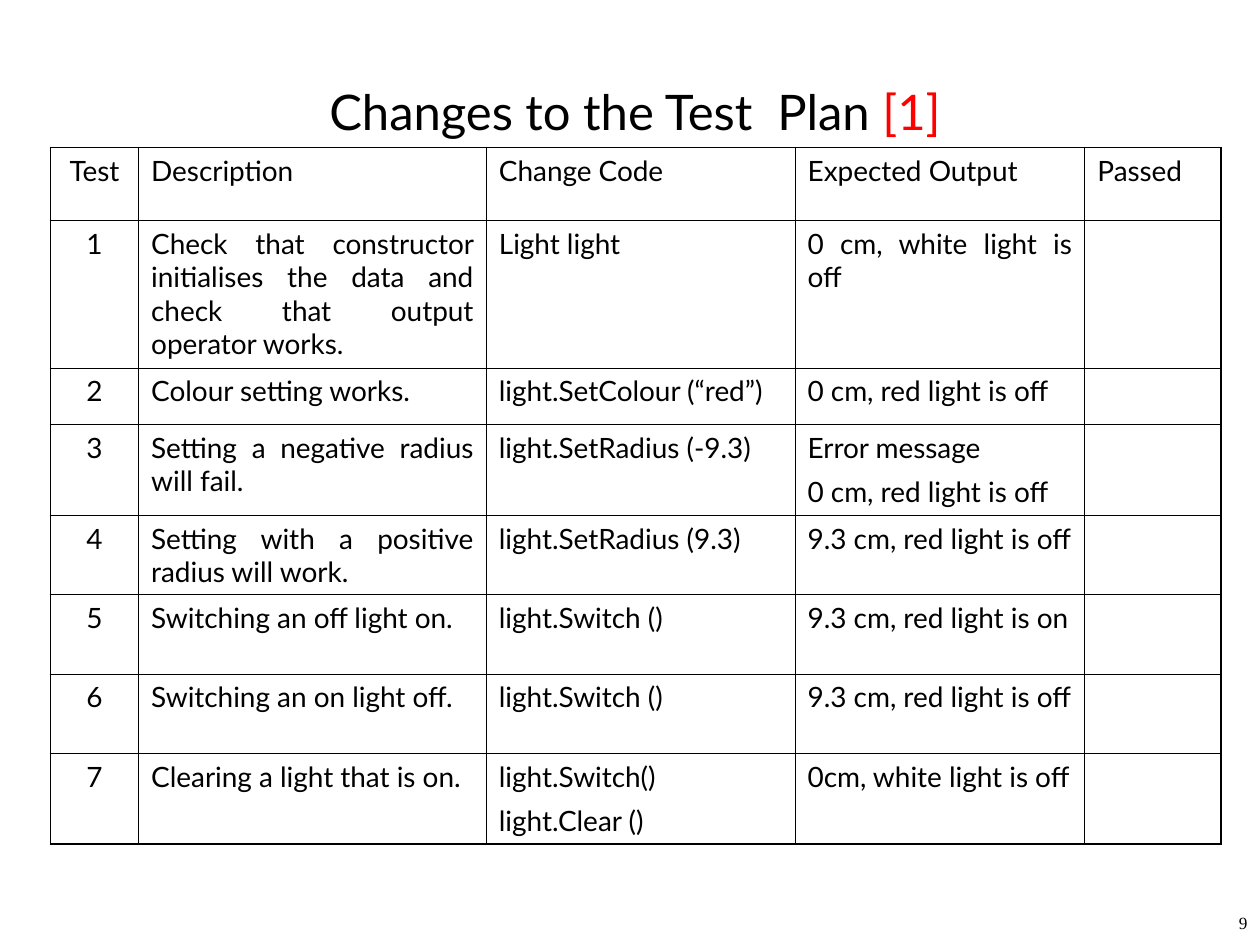
from pptx import Presentation
from pptx.dml.color import RGBColor
from pptx.enum.text import MSO_ANCHOR as Anchor, PP_ALIGN as Align
from pptx.oxml import parse_xml
from pptx.oxml.ns import nsdecls
from pptx.util import Inches, Pt

SLIDE_WIDTH, SLIDE_HEIGHT = Inches(10), Inches(7.5)
BLACK, RED = "000000", "FF0000"
INNER_LINE, OUTER_LINE = 0.45, 1.08
COLUMN_WIDTHS = [0.7, 2.76, 2.45, 2.3, 1.08]
ROW_HEIGHTS = [0.58, 1.17, 0.45, 0.72, 0.63, 0.63, 0.63, 0.72]

CELL_FONT = {"name": "Lato", "size": Pt(16)}
TITLE_FONT = {"name": "Lato", "size": Pt(28)}
NUMBER_FONT = {"name": "Times New Roman", "size": Pt(9.8)}

TEST_PLAN = [
    ["Test", "Description", "Change Code", "Expected Output", "Passed"],
    ["1", "Check that constructor initialises the data and check that output operator works.",
     "Light light", "0 cm, white light is off", ""],
    ["2", "Colour setting works.", "light.SetColour (“red”)", "0 cm, red light is off", ""],
    ["3", "Setting a negative radius will fail.", "light.SetRadius (-9.3)",
     "Error message\n0 cm, red light is off", ""],
    ["4", "Setting with a positive radius will work.", "light.SetRadius (9.3)",
     "9.3 cm, red light is off", ""],
    ["5", "Switching an off light on.", "light.Switch ()", "9.3 cm, red light is on", ""],
    ["6", "Switching an on light off.", "light.Switch ()", "9.3 cm, red light is off", ""],
    ["7", "Clearing a light that is on.", "light.Switch()\nlight.Clear ()",
     "0cm, white light is off", ""],
]


def color(hex_value):
    return RGBColor.from_string(hex_value)


def place(left, top, width, height):
    """Turn percentages of the slide into lengths."""
    return [int(share * side / 100) for share, side in
            zip((left, top, width, height), (SLIDE_WIDTH, SLIDE_HEIGHT) * 2)]


def set_format(target, values):
    for name, value in values.items():
        setattr(target, name, value)


def add_run(paragraph, text, font, hex_value=BLACK):
    run = paragraph.add_run()
    run.text = text
    set_format(run.font, font)
    run.font.color.rgb = color(hex_value)


def add_text(slide, box, runs, font, paragraph_format):
    """Add a one-paragraph text box from (text, colour) pairs."""
    frame = slide.shapes.add_textbox(*place(*box)).text_frame
    frame.word_wrap = True
    paragraph = frame.paragraphs[0]
    set_format(paragraph, paragraph_format)
    for text, hex_value in runs:
        add_run(paragraph, text, font, hex_value)


def set_borders(cell, outer_sides):
    properties = cell._tc.get_or_add_tcPr()
    for side in "LRTB":
        width = Pt(OUTER_LINE if side in outer_sides else INNER_LINE)
        properties.append(parse_xml(
            f'<a:ln{side} {nsdecls("a")} w="{width}"><a:solidFill>'
            f'<a:srgbClr val="{BLACK}"/></a:solidFill></a:ln{side}>'))


def fill_cell(cell, text, alignment):
    cell.vertical_anchor = Anchor.TOP
    cell.fill.background()
    frame = cell.text_frame
    for index, line in enumerate(text.split("\n")):
        paragraph = frame.add_paragraph() if index else frame.paragraphs[0]
        set_format(paragraph, {"alignment": alignment, "space_after": Pt(2),
                               "space_before": Pt(4 if index else 0)})
        if line:
            add_run(paragraph, line, CELL_FONT)
        else:
            set_format(paragraph.font, CELL_FONT)


def add_test_table(slide):
    row_count, column_count = len(ROW_HEIGHTS), len(COLUMN_WIDTHS)
    table = slide.shapes.add_table(
        row_count, column_count, Inches(0.4), Inches(1.17),
        Inches(sum(COLUMN_WIDTHS)), Inches(sum(ROW_HEIGHTS))).table
    set_format(table, {"first_row": False, "horz_banding": False})
    for column, width in zip(table.columns, COLUMN_WIDTHS):
        column.width = Inches(width)
    for row, height in zip(table.rows, ROW_HEIGHTS):
        row.height = Inches(height)
    for row, texts in enumerate(TEST_PLAN):
        for column, text in enumerate(texts):
            cell = table.cell(row, column)
            edges = {"L": column == 0, "R": column == column_count - 1,
                     "T": row == 0, "B": row == row_count - 1}
            set_borders(cell, [side for side, outer in edges.items() if outer])
            fill_cell(cell, text, Align.JUSTIFY if column else Align.CENTER)


def main():
    presentation = Presentation()
    set_format(presentation, {"slide_width": SLIDE_WIDTH, "slide_height": SLIDE_HEIGHT})
    slide = presentation.slides.add_slide(presentation.slide_layouts[6])
    add_test_table(slide)
    add_text(slide, (93.6, 96.3, 6.4, 3.7), [("9", BLACK)], NUMBER_FONT,
             {"alignment": Align.RIGHT, "line_spacing": 0.8})
    add_text(slide, (22.4, 8, 56, 7.6), [("Changes to the Test  Plan ", BLACK), ("[1]", RED)],
             TITLE_FONT, {"alignment": Align.CENTER})
    presentation.save("out.pptx")


if __name__ == "__main__":
    main()
